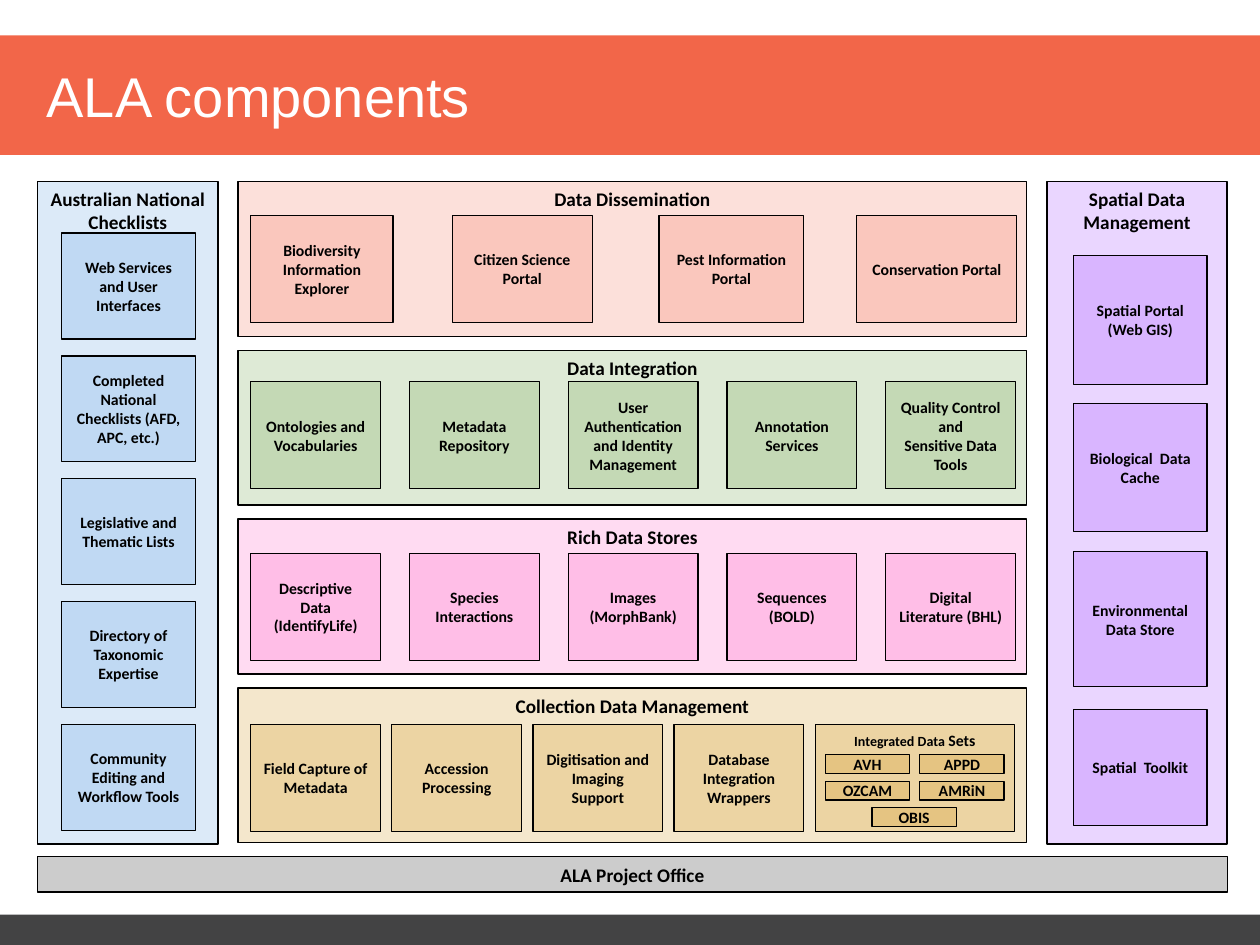
from dataclasses import dataclass

from lxml.etree import SubElement
from pptx import Presentation
from pptx.dml.color import RGBColor
from pptx.enum.shapes import MSO_SHAPE as Shape
from pptx.enum.text import MSO_ANCHOR as Anchor, PP_ALIGN as Align
from pptx.oxml.ns import qn
from pptx.util import Inches, Pt

COLOURS = {
    "banner": "F26649", "footer": "434344", "white": "FFFFFF", "black": "000000",
    "dissemination": "F26649", "integration": "5D9732", "stores": "FF4BBF",
    "collection": "CC8800", "checklists": "5399DF", "spatial": "9933FF",
    "office": "808080",
}


@dataclass
class Box:
    text: str
    left: float
    top: float
    width: float
    height: float
    side_inset: float = 0.1
    end_inset: float = 0.05
    size: int = 9
    anchor: Anchor = Anchor.MIDDLE


@dataclass
class Panel:
    heading: Box
    colour: str
    boxes: list[Box]


def colour(name: str) -> RGBColor:
    return RGBColor.from_string(COLOURS[name])


def heading(text: str, left: float, top: float, width: float, height: float) -> Box:
    return Box(text, left, top, width, height, size=11, anchor=Anchor.TOP)


def row(texts: list[str], top: float, pitch: float) -> list[Box]:
    return [Box(text, 1.99 + i * pitch, top, 1.03, 0.85) for i, text in enumerate(texts)]


def add_rectangle(shapes, box: Box, fill: str):
    shape = shapes.add_shape(Shape.RECTANGLE, Inches(box.left), Inches(box.top),
                             Inches(box.width), Inches(box.height))
    shape.shadow.inherit = False
    shape.fill.solid()
    shape.fill.fore_color.rgb = colour(fill)
    return shape


def add_box(shapes, box: Box, fill: str, opacity: int = 20):
    shape = add_rectangle(shapes, box, fill)
    tint = shape._element.spPr.find(qn("a:solidFill"))[0]
    SubElement(tint, qn("a:alpha")).set("val", str(opacity * 1000))
    shape.line.color.rgb = colour("black")
    shape.line.width = Pt(0.75)

    frame = shape.text_frame
    frame.word_wrap = True
    frame.vertical_anchor = box.anchor
    frame.margin_left = frame.margin_right = Inches(box.side_inset)
    frame.margin_top = frame.margin_bottom = Inches(box.end_inset)
    frame.text = box.text
    for paragraph in frame.paragraphs:
        paragraph.alignment = Align.CENTER
        paragraph.font.name = "Calibri"
        paragraph.font.size = Pt(box.size)
        paragraph.font.bold = True
        paragraph.font.color.rgb = colour("black")
    return shape


def add_panel(slide, panel: Panel):
    group = slide.shapes.add_group_shape()
    for box in [panel.heading, *panel.boxes]:
        add_box(group.shapes, box, panel.colour)
    return group


def add_data_sets(group) -> None:
    holder = Box("Integrated Data ", 6.47, 5.75, 1.58, 0.85, anchor=Anchor.TOP)
    paragraph = add_box(group.shapes, holder, "collection").text_frame.paragraphs[0]
    paragraph.runs[0].font.size = Pt(8)
    paragraph.add_run().text = "Sets"
    names = [("AVH", 6.55, 0), ("APPD", 7.3, 0), ("OZCAM", 6.55, 1),
             ("AMRiN", 7.3, 1), ("OBIS", 6.92, 2)]
    for name, left, line in names:
        box = Box(name, left, 5.99 + line * 0.21, 0.67, 0.15, 0.02, 0)
        add_box(group.shapes, box, "collection")


# Panel contents
dissemination = [Box(text, left, 1.71, width, 0.85) for text, left, width in [
    ("Biodiversity Information Explorer", 1.99, 1.13),
    ("Citizen Science Portal", 3.59, 1.11),
    ("Pest Information Portal", 5.23, 1.15),
    ("Conservation Portal", 6.8, 1.27)]]
integration = row(["Ontologies and Vocabularies", "Metadata Repository",
                   "User Authentication and Identity Management",
                   "Annotation Services",
                   "Quality Control and\nSensitive Data Tools"], 3.03, 1.26)
integration[2].side_inset = 0.06
stores = row(["Descriptive Data (IdentifyLife)", "Species Interactions",
              "Images (MorphBank)", "Sequences (BOLD)",
              "Digital Literature (BHL)"], 4.39, 1.26)
collection = row(["Field Capture of Metadata", "Accession Processing",
                  "Digitisation and Imaging Support",
                  "Database Integration Wrappers"], 5.75, 1.12)
checklists = [Box(text, 0.49, 1.85 + i * 0.975, 1.06, 0.84) for i, text in enumerate([
    "Web Services and User Interfaces",
    "Completed National Checklists (AFD, APC, etc.)",
    "Legislative and Thematic Lists",
    "Directory of Taxonomic Expertise",
    "Community Editing and Workflow Tools"])]
spatial = [Box(text, 8.52, top, 1.06, height) for text, top, height in [
    ("Spatial Portal\v(Web GIS)", 2.03, 1.02),
    ("Biological  Data Cache", 3.2, 1.02),
    ("Environmental Data Store", 4.38, 1.07),
    ("Spatial  Toolkit", 5.63, 0.92)]]
spatial[2].side_inset = 0.06

panels = [
    Panel(heading("Australian National Checklists", 0.3, 1.44, 1.43, 5.26),
          "checklists", checklists),
    Panel(heading("Spatial Data Management", 8.31, 1.44, 1.43, 5.26),
          "spatial", spatial),
]
middle_panels = [
    ("Data Dissemination", "dissemination", dissemination),
    ("Data Integration", "integration", integration),
    ("Rich Data Stores", "stores", stores),
    ("Collection Data Management", "collection", collection),
]
for i, (text, name, boxes) in enumerate(middle_panels):
    panels.append(Panel(heading(text, 1.89, 1.44 + i * 1.34, 6.26, 1.23), name, boxes))

presentation = Presentation()
presentation.slide_width, presentation.slide_height = Inches(10), Inches(7.5)
slide = presentation.slides.add_slide(presentation.slide_layouts[5])

# Banner and footer bars, then the title in front of them
title = slide.shapes.title
for name, top, height in [("banner", 0.28, 0.95), ("footer", 7.26, 0.24)]:
    bar = add_rectangle(slide.shapes, Box("", 0, top, 10, height), name)
    bar.line.fill.background()
    title._element.addprevious(bar._element)

title.left, title.top = Inches(0.27), Inches(0.28)
title.width, title.height = Inches(6.95), Inches(0.95)
title.text_frame.text = "ALA components"
title.text_frame.vertical_anchor = Anchor.MIDDLE
paragraph = title.text_frame.paragraphs[0]
paragraph.alignment = Align.LEFT
paragraph.font.name = "Arial"
paragraph.font.size = Pt(32)
paragraph.font.color.rgb = colour("white")

# Component panels; the last one also holds the data sets
groups = [add_panel(slide, panel) for panel in panels]
add_data_sets(groups[-1])

# Project office bar
add_box(slide.shapes, heading("ALA Project Office", 0.3, 6.8, 9.44, 0.28), "office", 40)

presentation.save("out.pptx")
